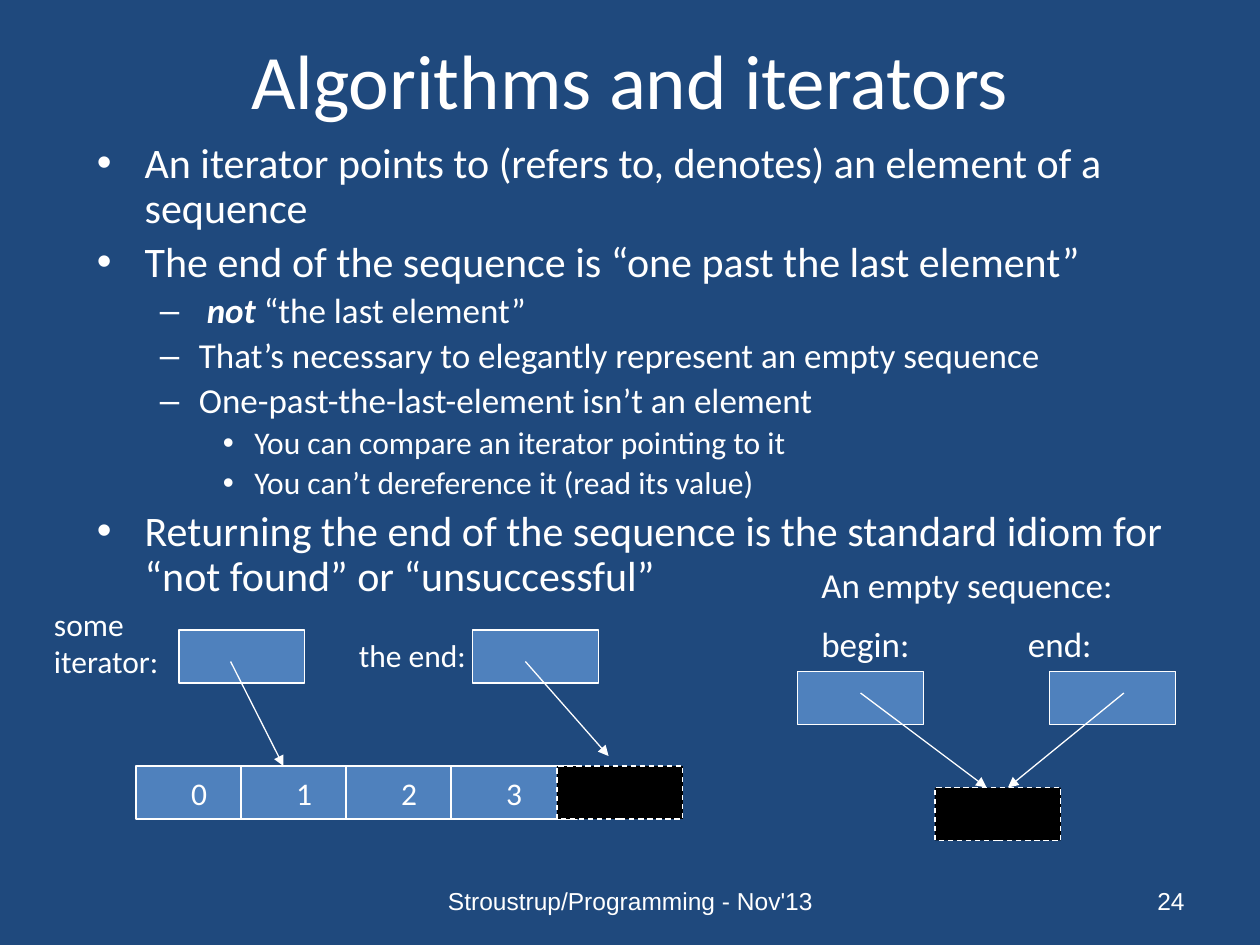
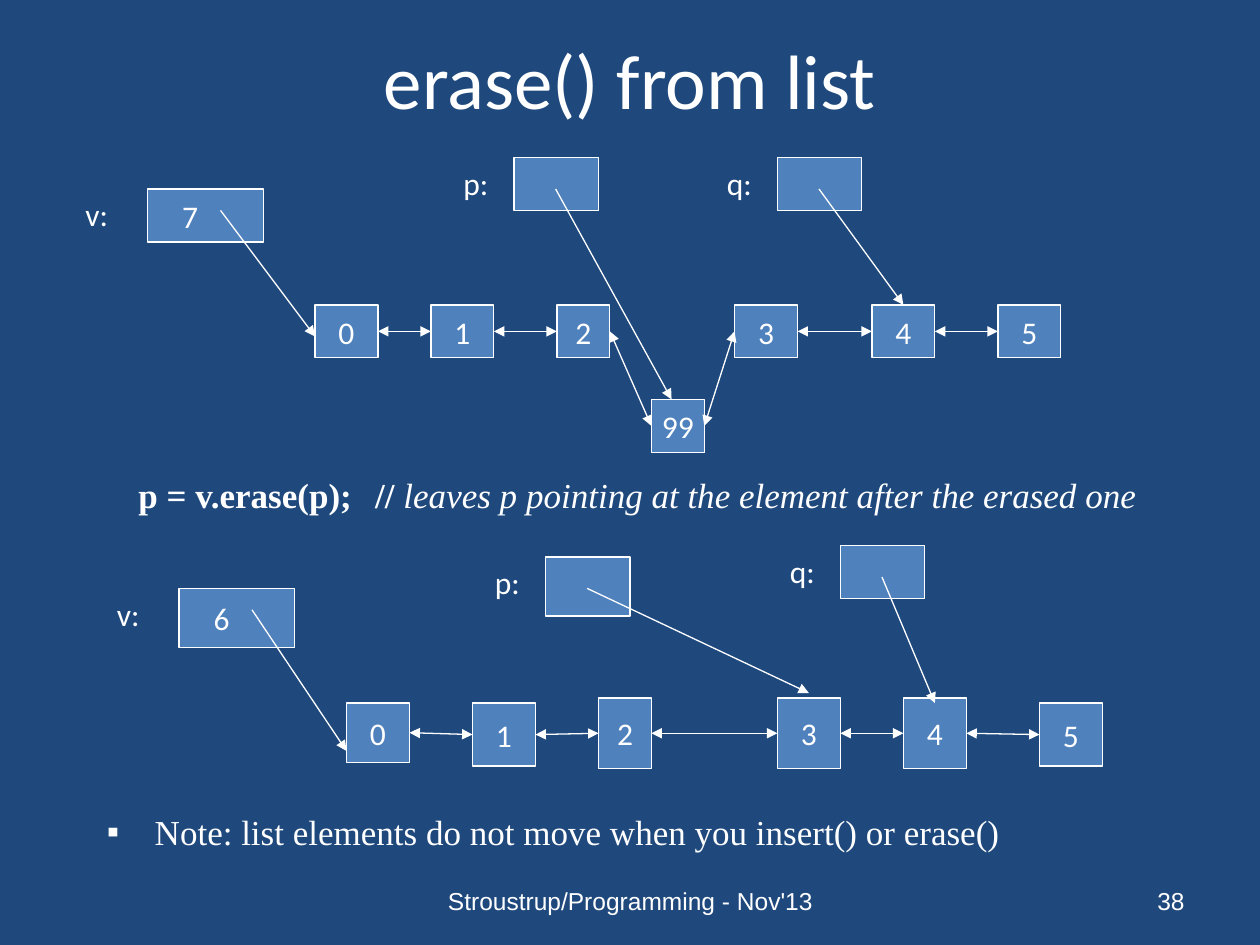
from pptx import Presentation
from pptx.util import Inches, Pt
from pptx.dml.color import RGBColor
from pptx.enum.dml import MSO_LINE
from pptx.enum.shapes import MSO_CONNECTOR, MSO_SHAPE
from pptx.enum.text import MSO_ANCHOR, PP_ALIGN
from lxml.etree import SubElement
from pptx.oxml.ns import qn

COLORS = {"back": "1F497D", "box": "4F81BD", "end": "000000", "text": "FFFFFF"}
FOOTER = "Stroustrup/Programming - Nov'13"
LEVELS = [
    (24, 0.38, 0.38, "•"),
    (20, 0.81, 0.31, "–"),
    (18, 1.25, 0.25, "•"),
]
RIGHT, LEFT = 3, 1


class Deck:
    def __init__(self):
        self.prs = Presentation()
        self.prs.slide_width, self.prs.slide_height = Inches(10), Inches(7.5)

    def color(self, name):
        return RGBColor.from_string(COLORS[name])

    def slide(self, title, number):
        self.s = self.prs.slides.add_slide(self.prs.slide_layouts[6])
        fill = self.s.background.fill
        fill.solid()
        fill.fore_color.rgb = self.color("back")
        center, middle = PP_ALIGN.CENTER, MSO_ANCHOR.MIDDLE
        self.text(title, 0.5, 0, 9, 1.25, 44, align=center, anchor=middle)
        self.text(FOOTER, 3.42, 6.95, 3.17, 0.4, 14, "Arial", center, middle)
        self.text(number, 7.17, 6.95, 2.33, 0.4, 14, "Arial", PP_ALIGN.RIGHT, middle)

    def frame(self, x, y, w, h, anchor=MSO_ANCHOR.TOP):
        tf = self.s.shapes.add_textbox(*map(Inches, (x, y, w, h))).text_frame
        tf.word_wrap = True
        tf.vertical_anchor = anchor
        return tf

    def font(self, p, size, name="Calibri"):
        for r in p.runs:
            r.font.size = Pt(size)
            r.font.name = name
            r.font.color.rgb = self.color("text")

    def text(self, text, x, y, w, h, size, name="Calibri",
             align=PP_ALIGN.LEFT, anchor=MSO_ANCHOR.TOP):
        tf = self.frame(x, y, w, h, anchor)
        tf.text = text
        for p in tf.paragraphs:
            p.alignment = align
            self.font(p, size, name)
        return tf

    def item(self, p, runs, size, margin, hang, bullet=None, name="Calibri"):
        for text, bold, italic in runs:
            r = p.add_run()
            r.text = text
            r.font.bold, r.font.italic = bold, italic
        self.font(p, size, name)
        p.line_spacing = 0.9
        p.space_before = Pt(size * 0.2)
        pPr = p._p.get_or_add_pPr()
        pPr.set("marL", str(Inches(margin)))
        pPr.set("indent", str(-Inches(hang)))
        if bullet:
            SubElement(pPr, qn("a:buFont")).set("typeface", "Arial")
            SubElement(pPr, qn("a:buChar")).set("char", bullet)

    def bullets(self, items, x, y, w, h):
        tf = self.frame(x, y, w, h)
        for i, (level, runs) in enumerate(items):
            p = tf.add_paragraph() if i else tf.paragraphs[0]
            p.level = level
            self.item(p, runs, *LEVELS[level])

    def note(self, runs, x, y, w, h, bullet=None):
        p = self.frame(x, y, w, h).paragraphs[0]
        self.item(p, runs, 20, 0.38, 0.38, bullet, "Times New Roman")

    def box(self, x, y, w=1, h=0.42, text="", fill="box"):
        sp = self.s.shapes.add_shape(MSO_SHAPE.RECTANGLE, *map(Inches, (x, y, w, h)))
        sp.shadow.inherit = False
        sp.fill.solid()
        sp.fill.fore_color.rgb = self.color(fill)
        sp.line.color.rgb = self.color("text")
        sp.line.width = Pt(0.75)
        if fill == "end":
            sp.line.dash_style = MSO_LINE.DASH
        if text:
            tf = sp.text_frame
            tf.text = text
            tf.word_wrap = False
            tf.vertical_anchor = MSO_ANCHOR.MIDDLE
            tf.paragraphs[0].alignment = PP_ALIGN.CENTER
            self.font(tf.paragraphs[0], 18)
        return sp

    def arrow(self, x1, y1, x2, y2, both=False):
        c = self.s.shapes.add_connector(MSO_CONNECTOR.STRAIGHT, *map(Inches, (x1, y1, x2, y2)))
        c.line.color.rgb = self.color("text")
        c.line.width = Pt(0.75)
        ln = c.line._get_or_add_ln()
        for end in ("a:headEnd", "a:tailEnd") if both else ("a:tailEnd",):
            SubElement(ln, qn(end)).set("type", "triangle")
        SubElement(c._element.spPr, qn("a:effectLst"))
        return c

    def link(self, a, b):
        c = self.arrow(0, 0, 1, 1, both=True)
        c.begin_connect(a, RIGHT)
        c.end_connect(b, LEFT)

    def chain(self, nodes):
        boxes = [self.box(x, y, w, h, text) for text, x, y, w, h in nodes]
        for a, b in zip(boxes, boxes[1:]):
            self.link(a, b)

    def pointer(self, label, x, y, h, tip):
        self.text(label, x - 0.5, y, 0.5, 0.4, 18)
        self.box(x, y, 0.67, h)
        self.arrow(x + 0.33, y + 0.25, *tip)

    def header(self, count, x, y, h, tip):
        self.text("v:", x - 0.59, y, 0.58, 0.4, 18)
        tf = self.box(x, y, 0.92, h, count).text_frame
        tf.word_wrap = True
        tf.margin_right = Inches(0.34)
        self.arrow(x + 0.58, y + 0.17, *tip)


def plain(text):
    return [(text, False, False)]


deck = Deck()

deck.slide("Algorithms and iterators", "24")
deck.bullets([
    (0, plain("An iterator points to (refers to, denotes) an element of a sequence")),
    (0, plain("The end of the sequence is “one past the last element”")),
    (1, [(" ", False, False), ("not ", True, True), ("“the last element”", False, False)]),
    (1, plain("That’s necessary to elegantly represent an empty sequence")),
    (1, plain("One-past-the-last-element isn’t an element")),
    (2, plain("You can compare an iterator pointing to it")),
    (2, plain("You can’t dereference it (read its value)")),
    (0, plain("Returning the end of the sequence is the standard idiom for "
              "“not found” or “unsuccessful”")),
], 0.67, 1.08, 9.33, 4)
for i in range(4):
    deck.box(1.08 + i * 2.5 / 3, 6.08, text=str(i))
deck.box(4.42, 6.08, fill="end")
deck.box(7.42, 6.25, fill="end")
for x, y in [(1.42, 5), (3.75, 5), (6.33, 5.33), (8.33, 5.33)]:
    deck.box(x, y)
for ends in [(1.83, 5.25, 2.25, 6.08), (4.17, 5.25, 4.83, 6),
             (6.83, 5.5, 7.83, 6.25), (8.92, 5.5, 8, 6.25)]:
    deck.arrow(*ends)
deck.text("some iterator:", 0.33, 4.75, 1.08, 0.7, 18)
deck.text("the end:", 2.75, 5, 1.17, 0.4, 18)
tf = deck.text("An empty sequence:\nbegin:\tend:", 6.42, 4.42, 2.92, 0.94, 20)
p = tf.paragraphs[1]
p.space_before = Pt(10)
tabs = SubElement(p._p.get_or_add_pPr(), qn("a:tabLst"))
tab = SubElement(tabs, qn("a:tab"))
tab.set("pos", str(Inches(1.64)))
tab.set("algn", "l")

deck.slide("erase() from list", "38")
deck.chain([
    ("0", 2.5, 2.42, 0.5, 0.42),
    ("1", 3.42, 2.42, 0.5, 0.42),
    ("2", 4.42, 2.42, 0.42, 0.42),
    ("99", 5.17, 3.17, 0.42, 0.42),
    ("3", 5.83, 2.42, 0.5, 0.42),
    ("4", 6.92, 2.42, 0.5, 0.42),
    ("5", 7.92, 2.42, 0.5, 0.42),
])
deck.header("7", 1.17, 1.5, 0.42, (2.5, 2.67))
deck.pointer("p:", 4.08, 1.25, 0.42, (5.33, 3.17))
deck.pointer("q:", 6.17, 1.25, 0.42, (7.17, 2.42))
deck.note([
    ("p = v.erase(p);\t// ", True, False),
    ("leaves p pointing at the element after the erased one", False, True),
], 1, 3.75, 9, 0.58)
deck.chain([
    ("0", 2.75, 5.58, 0.5, 0.47),
    ("1", 3.75, 5.58, 0.5, 0.5),
    ("2", 4.75, 5.54, 0.42, 0.56),
    ("3", 6.17, 5.54, 0.5, 0.56),
    ("4", 7.17, 5.54, 0.5, 0.56),
    ("5", 8.25, 5.58, 0.5, 0.5),
])
deck.header("6", 1.42, 4.67, 0.47, (2.75, 5.96))
deck.pointer("p:", 4.33, 4.42, 0.47, (6.42, 5.5))
deck.pointer("q:", 6.67, 4.33, 0.42, (7.42, 5.58))
deck.note(plain("Note: list elements do not move when you insert() or erase()"),
          0.75, 6.42, 9, 0.42, "▪")

deck.prs.save("out.pptx")
